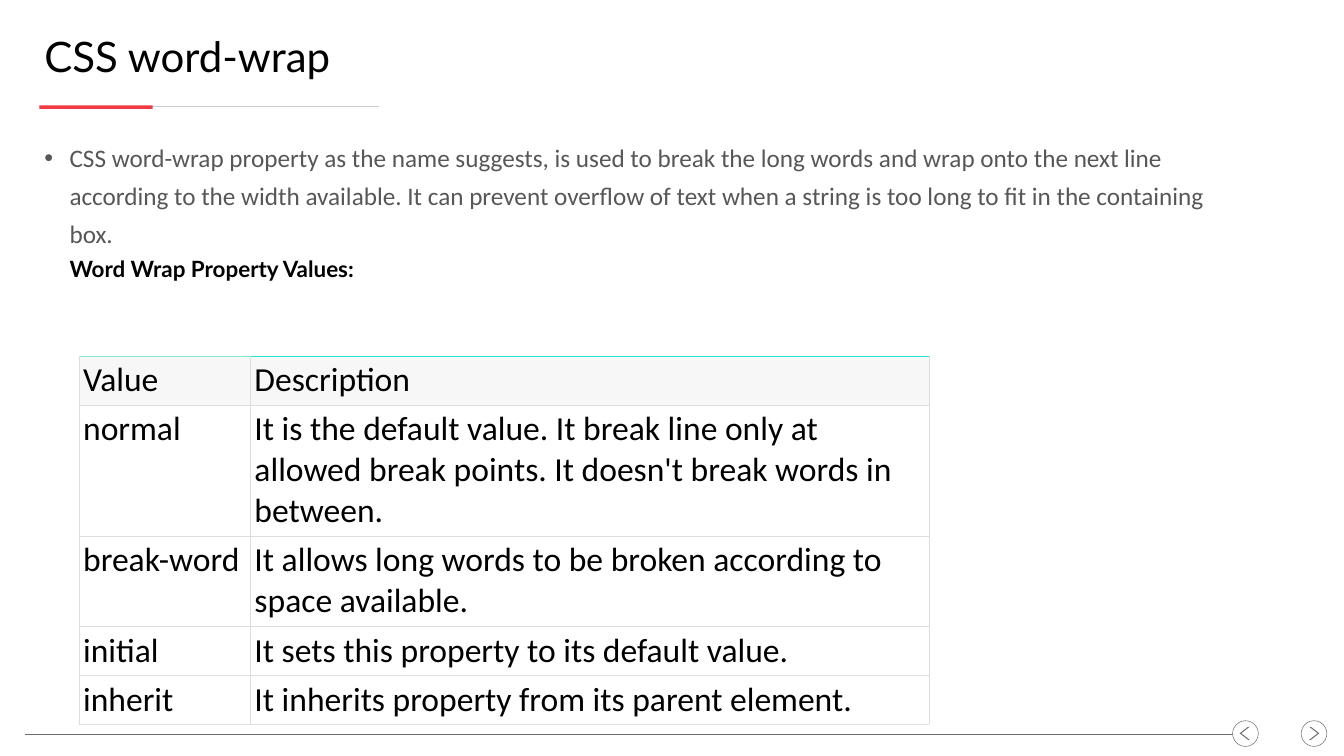
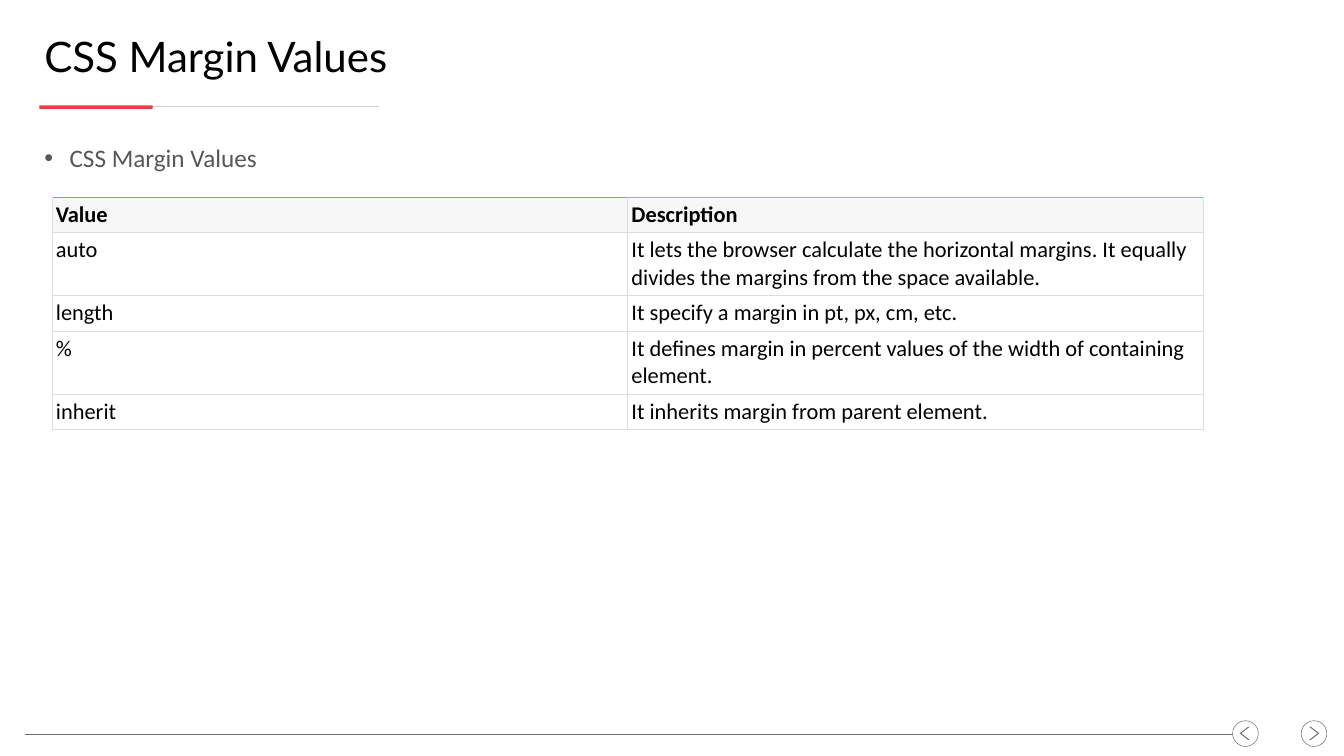
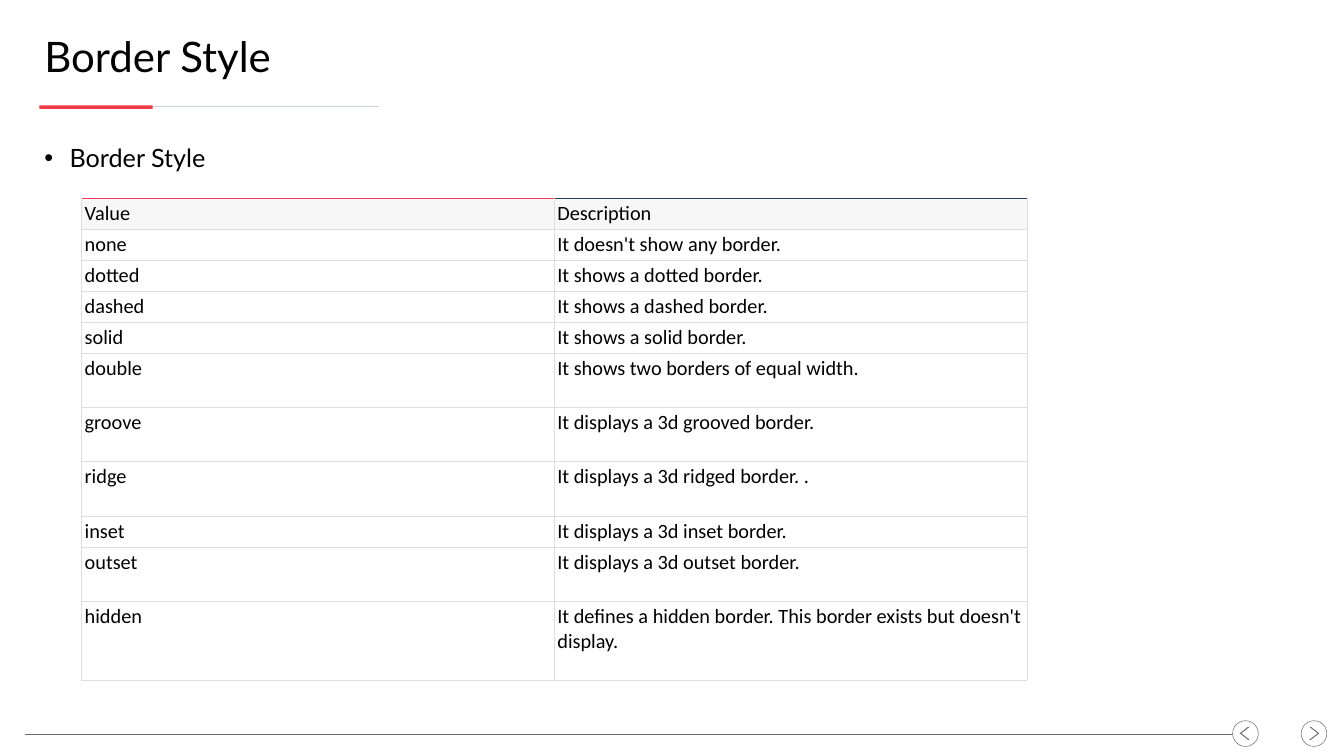
from lxml.etree import SubElement
from pptx import Presentation
from pptx.dml.color import RGBColor
from pptx.enum.shapes import MSO_CONNECTOR as Connector, MSO_SHAPE as Shape
from pptx.enum.text import MSO_ANCHOR as Anchor, MSO_AUTO_SIZE as AutoSize, PP_ALIGN as Align
from pptx.oxml.ns import qn
from pptx.util import Inches, Pt

BLACK, WHITE, GREY = "000000", "FFFFFF", "575757"
ACCENT, RULE, NAVIGATION = "F23A43", "CBD0D7", "6C6C6C"
HEADER_FILL, GRID = "F7F7F7", "DDDDDD"
HEADING_FONT, TEXT_FONT = "Lato", "Calibri"
GRID_WIDTH = 0.75


def rgb(code):
    """Turn a hex string into a colour."""
    return RGBColor.from_string(code)


class Deck:
    """Hold the shared style and the slide being built."""

    def __init__(self):
        """Open a presentation of the right size."""
        self.presentation = Presentation()
        self.presentation.slide_width = Inches(26.67)
        self.presentation.slide_height = Inches(15)
        self.slide = None

    def start(self, heading):
        """Add a slide with its heading, rules and navigation."""
        self.slide = self.presentation.slides.add_slide(self.presentation.slide_layouts[1])
        self.line(0.78, 7.52, 2.12, RULE, 1.5)
        self.shape(self.slide.shapes, Shape.RECTANGLE, (0.78, 2.09, 2.25, 0.07), fill=ACCENT)
        self.arrow_button(25.82, 25.98)
        self.arrow_button(24.46, 24.6, flipped=True)
        self.line(0.49, 24.46, 14.56, NAVIGATION, 0.75)
        paragraph = self.place(self.slide.shapes.title, (0.78, 0.59, 25.05, 1.04), Anchor.MIDDLE)
        self.run(paragraph, heading, 60, HEADING_FONT)

    def line(self, left, right, y, color, width):
        """Draw a horizontal line."""
        rule = self.slide.shapes.add_connector(
            Connector.STRAIGHT, Inches(left), Inches(y), Inches(right), Inches(y))
        rule.line.color.rgb = rgb(color)
        rule.line.width = Pt(width)
        SubElement(rule.element.spPr, qn("a:effectLst"))

    def shape(self, parent, kind, box, fill=None, outline=None):
        """Draw a preset shape with a fill or an outline."""
        figure = parent.add_shape(kind, *map(Inches, box))
        figure.shadow.inherit = False
        if fill:
            figure.fill.solid()
            figure.fill.fore_color.rgb = rgb(fill)
        else:
            figure.fill.background()
        if outline:
            figure.line.color.rgb = rgb(outline)
            figure.line.width = Pt(0.75)
        else:
            figure.line.fill.background()
        return figure

    def arrow_button(self, circle_left, chevron_left, flipped=False):
        """Draw a chevron in a circle as one group."""
        button = self.slide.shapes.add_group_shape().shapes
        self.shape(button, Shape.OVAL, (circle_left, 14.3, 0.51, 0.51), outline=NAVIGATION)
        chevron = self.shape(button, Shape.CHEVRON, (chevron_left, 14.42, 0.2, 0.26), fill=NAVIGATION)
        chevron.adjustments[0] = 0.84
        if flipped:
            chevron.element.spPr.find(qn("a:xfrm")).set("flipH", "1")

    def place(self, holder, box, anchor):
        """Move a placeholder and return its first paragraph."""
        holder.left, holder.top, holder.width, holder.height = map(Inches, box)
        frame = holder.text_frame
        frame.word_wrap = True
        frame.auto_size = AutoSize.NONE
        frame.vertical_anchor = anchor
        paragraph = frame.paragraphs[0]
        paragraph.alignment = Align.LEFT
        paragraph.space_before = Pt(0)
        paragraph.space_after = Pt(12)
        return paragraph

    def run(self, paragraph, text, size, font=TEXT_FONT, color=BLACK, bold=False):
        """Append one formatted run."""
        piece = paragraph.add_run()
        piece.text = text
        piece.font.name = font
        piece.font.size = Pt(size)
        piece.font.bold = bold
        piece.font.color.rgb = rgb(color)

    def bullet(self, text, font=TEXT_FONT, color=GREY, subheading=None):
        """Fill the body with a bullet and an optional bold line below it."""
        paragraph = self.place(self.slide.placeholders[1], (0.78, 2.63, 23.33, 10.88), Anchor.TOP)
        properties = paragraph._p.get_or_add_pPr()
        properties.set("marL", str(Inches(0.5)))
        properties.set("indent", str(Inches(-0.5)))
        SubElement(properties, qn("a:buChar"), char="•")
        paragraph.line_spacing = 1.25
        self.run(paragraph, text, 36, font, color)
        if subheading:
            paragraph.add_line_break()
            self.run(paragraph, subheading, 32, HEADING_FONT, bold=True)

    def borders(self, cell, top):
        """Draw the four borders of a cell."""
        properties = cell._tc.get_or_add_tcPr()
        sides = (("lnL", GRID), ("lnR", GRID), ("lnT", top), ("lnB", GRID))
        for position, (side, color) in enumerate(sides):
            edge = SubElement(properties, qn(f"a:{side}"), w=str(Pt(GRID_WIDTH)))
            SubElement(SubElement(edge, qn("a:solidFill")), qn("a:srgbClr"), val=color)
            properties.insert(position, edge)

    def table(self, left, top, widths, heights, rows, size, inset, top_colors, bold_header=False):
        """Add a table of values under the header Value, Description."""
        rows = [("Value", "Description"), *rows]
        grid = self.slide.shapes.add_table(
            len(rows), len(widths), Inches(left), Inches(top),
            Inches(sum(widths)), Inches(sum(heights))).table
        grid.first_row = grid.horz_banding = False
        for column, width in zip(grid.columns, widths):
            column.width = Inches(width)
        for row_number, (row, height, texts) in enumerate(zip(grid.rows, heights, rows)):
            row.height = Inches(height)
            header = row_number == 0
            for cell, text, top_color in zip(row.cells, texts, top_colors):
                cell.margin_left = cell.margin_right = Inches(inset)
                cell.margin_top = cell.margin_bottom = Inches(inset)
                cell.vertical_anchor = Anchor.BOTTOM if header else Anchor.TOP
                cell.fill.solid()
                cell.fill.fore_color.rgb = rgb(HEADER_FILL if header else WHITE)
                self.borders(cell, top_color if header else GRID)
                self.run(cell.text_frame.paragraphs[0], text, size, bold=header and bold_header)


def main():
    """Build the three slides and save them."""
    deck = Deck()

    deck.start("CSS word-wrap")
    deck.bullet(
        "CSS word-wrap property as the name suggests, is used to break the long words and wrap "
        "onto the next line according to the width available. It can prevent overflow of text "
        "when a string is too long to fit in the containing box.",
        subheading="Word Wrap Property Values:")
    wrap_values = [
        ("normal", "It is the default value. It break line only at allowed break points. "
                   "It doesn't break words in between."),
        ("break-word", "It allows long words to be broken according to space available."),
        ("initial", "It sets this property to its default value."),
        ("inherit", "It inherits property from its parent element."),
    ]
    deck.table(1.57, 7.06, (3.4, 13.47), [0.9] * 5, wrap_values, 48, 0.08, ("80E5D2", "20E6D2"))

    deck.start("CSS Margin Values")
    deck.bullet("CSS Margin Values")
    margin_values = [
        ("auto", "It lets the browser calculate the horizontal margins. "
                 "It equally divides the margins from the space available."),
        ("length", "It specify a margin in pt, px, cm, etc."),
        ("%", "It defines margin in percent values of the width of containing element."),
        ("inherit", "It inherits margin from parent element."),
    ]
    deck.table(1.03, 3.91, (11.42, 11.42), (0.69, 1.25, 0.69, 1.25, 0.69), margin_values,
               32, 0.08, ("30C3CD", "70C8CD"), bold_header=True)

    deck.start("Border Style")
    deck.bullet("Border Style", HEADING_FONT, BLACK)
    border_values = [
        ("none", "It doesn't show any border."),
        *((style, f"It shows a {style} border.") for style in ("dotted", "dashed", "solid")),
        ("double", "It shows two borders of equal width."),
        ("groove", "It displays a 3d grooved border."),
        ("ridge", "It displays a 3d ridged border. ."),
        *((style, f"It displays a 3d {style} border.") for style in ("inset", "outset")),
        ("hidden", "It defines a hidden border. This border exists but doesn't display."),
    ]
    single, double, triple = 0.61, 1.08, 1.56
    border_heights = [single] * 5 + [double] * 3 + [single, double, triple]
    deck.table(1.62, 3.94, (9.38, 9.38), border_heights, border_values,
               29, 0.06, ("F03B5D", "303D5D"))

    deck.presentation.save("out.pptx")


if __name__ == "__main__":
    main()
